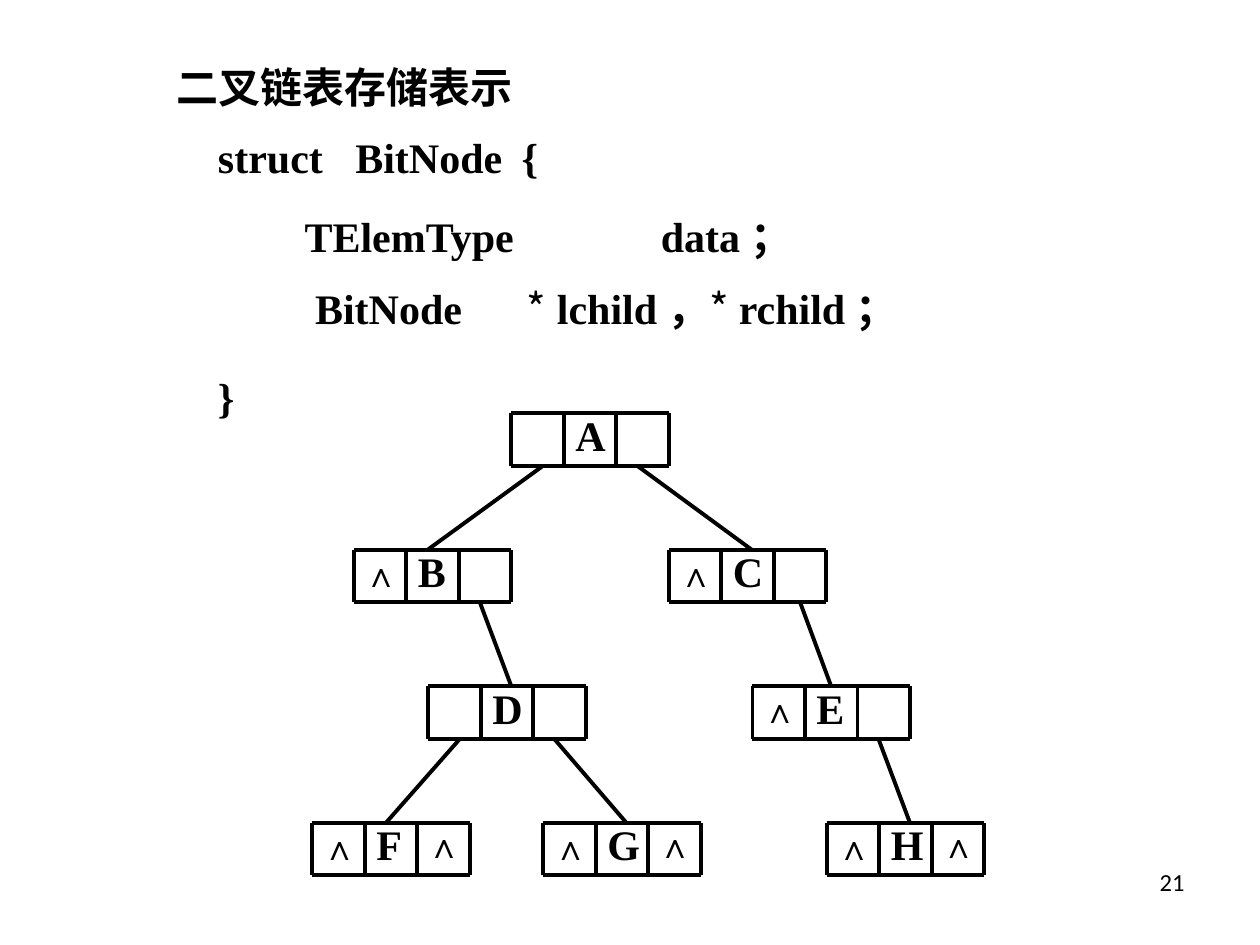
from lxml import etree
from pptx import Presentation
from pptx.dml.color import RGBColor
from pptx.enum import shapes, text
from pptx.oxml import ns
from pptx.util import Pt

SERIF, CJK, SANS = "Times New Roman", "Noto Sans CJK SC", "Calibri"
BLACK = "000000"

TITLE = "二叉链表存储表示"
# left, top, width, tab stops, runs as (text, font, bold)
CODE = [
    (117.5, 71.5, 534, (78.5, 173.5), [("struct\tBitNode\t{", SERIF, True)]),
    (167, 116.75, 480, (203.5,), [("TElemType\tdata ；", SERIF, True)]),
    (167, 157.75, 480, (127,), [
        (" BitNode\t", SERIF, True), ("*", CJK, False), (" lchild ，", SERIF, True),
        ("* ", CJK, False), ("rchild ；", SERIF, True)]),
    (117.5, 209, 534, (), [("}", SERIF, True)]),
]
# name: (left, level, empty left link, empty right link)
NODES = {
    "A": (292.25, 0, False, False),
    "B": (202.25, 1, True, False),
    "C": (382.25, 1, True, False),
    "D": (244.75, 2, False, False),
    "E": (430, 2, True, False),
    "F": (178.5, 3, True, True),
    "G": (310.5, 3, True, True),
    "H": (472.5, 3, True, True),
}
# parent, child, start offset in the parent, end offset in the child
EDGES = [
    ("A", "C", 72, 47.5), ("A", "B", 18, 42), ("B", "D", 72, 47.5),
    ("C", "E", 75, 45), ("E", "H", 72, 47.5), ("D", "G", 72, 47.5),
    ("D", "F", 18, 42),
]
CELL, TOP, STEP = 30, 236.25, 78


def color(value):
    return RGBColor.from_string(value)


def fill_text(sp, runs, size, align=text.PP_ALIGN.LEFT, tabs=()):
    tf = sp.text_frame
    tf.word_wrap = True
    tf.auto_size = text.MSO_AUTO_SIZE.SHAPE_TO_FIT_TEXT
    tf.vertical_anchor = text.MSO_ANCHOR.TOP
    p = tf.paragraphs[0]
    p.alignment = align
    if tabs:
        tab_list = etree.SubElement(p._p.get_or_add_pPr(), ns.qn("a:tabLst"))
        for stop in tabs:
            etree.SubElement(tab_list, ns.qn("a:tab"), pos=str(int(Pt(stop))), algn="l")
    for content, font, bold in runs:
        r = p.add_run()
        r.text = content
        r.font.name, r.font.size, r.font.bold = font, Pt(size), bold
        r.font.color.rgb = color(BLACK)
        latin = r._r.rPr.find(ns.qn("a:latin"))
        latin.addnext(latin.makeelement(ns.qn("a:ea"), {"typeface": CJK}))


def add_text(s, box, runs, size, **options):
    sp = s.shapes.add_textbox(*map(Pt, box))
    fill_text(sp, runs, size, **options)


def add_line(s, x1, y1, x2, y2):
    line = s.shapes.add_connector(shapes.MSO_CONNECTOR.STRAIGHT, *map(Pt, (x1, y1, x2, y2)))
    line.line.color.rgb = color(BLACK)
    line.line.width = Pt(2.25)
    etree.SubElement(line._element.spPr, ns.qn("a:effectLst"))


def level_top(level):
    return TOP + level * STEP


def add_node(s, name, left, level, no_left, no_right):
    """Draw a three-cell record: left link, data, right link."""
    top = level_top(level)
    for y in (top, top + CELL):
        add_line(s, left, y, left + 3 * CELL, y)
    for i in range(4):
        x = left + i * CELL
        add_line(s, x, top, x, top + CELL)
    add_text(s, (left + 29.5, top - 6, 66, 36), [(name, SERIF, True)], 24)
    for empty, dx, dy in ((no_left, -1.5, -2.25), (no_right, 58.25, -3)):
        if empty:
            add_text(s, (left + dx, top + dy, 96, 31.5), [("∧", SERIF, True)], 20)


def main():
    prs = Presentation()
    prs.slide_width, prs.slide_height = Pt(720), Pt(540)
    s = prs.slides.add_slide(prs.slide_layouts[5])

    title = s.shapes.title
    title.left, title.top, title.width, title.height = map(Pt, (93.5, 31.5, 498, 36))
    fill_text(title, [(TITLE, SERIF, True)], 24)

    for left, top, width, tabs, runs in CODE:
        add_text(s, (left, top, width, 36), runs, 24, tabs=tabs)

    for name, node in NODES.items():
        add_node(s, name, *node)
    for parent, child, start, end in EDGES:
        x1, level1 = NODES[parent][:2]
        x2, level2 = NODES[child][:2]
        add_line(s, x1 + start, level_top(level1) + CELL, x2 + end, level_top(level2))

    add_text(s, (516, 492, 168, 37.5), [("21", SANS, False)], 14,
             align=text.PP_ALIGN.RIGHT)
    prs.save("out.pptx")


if __name__ == "__main__":
    main()
